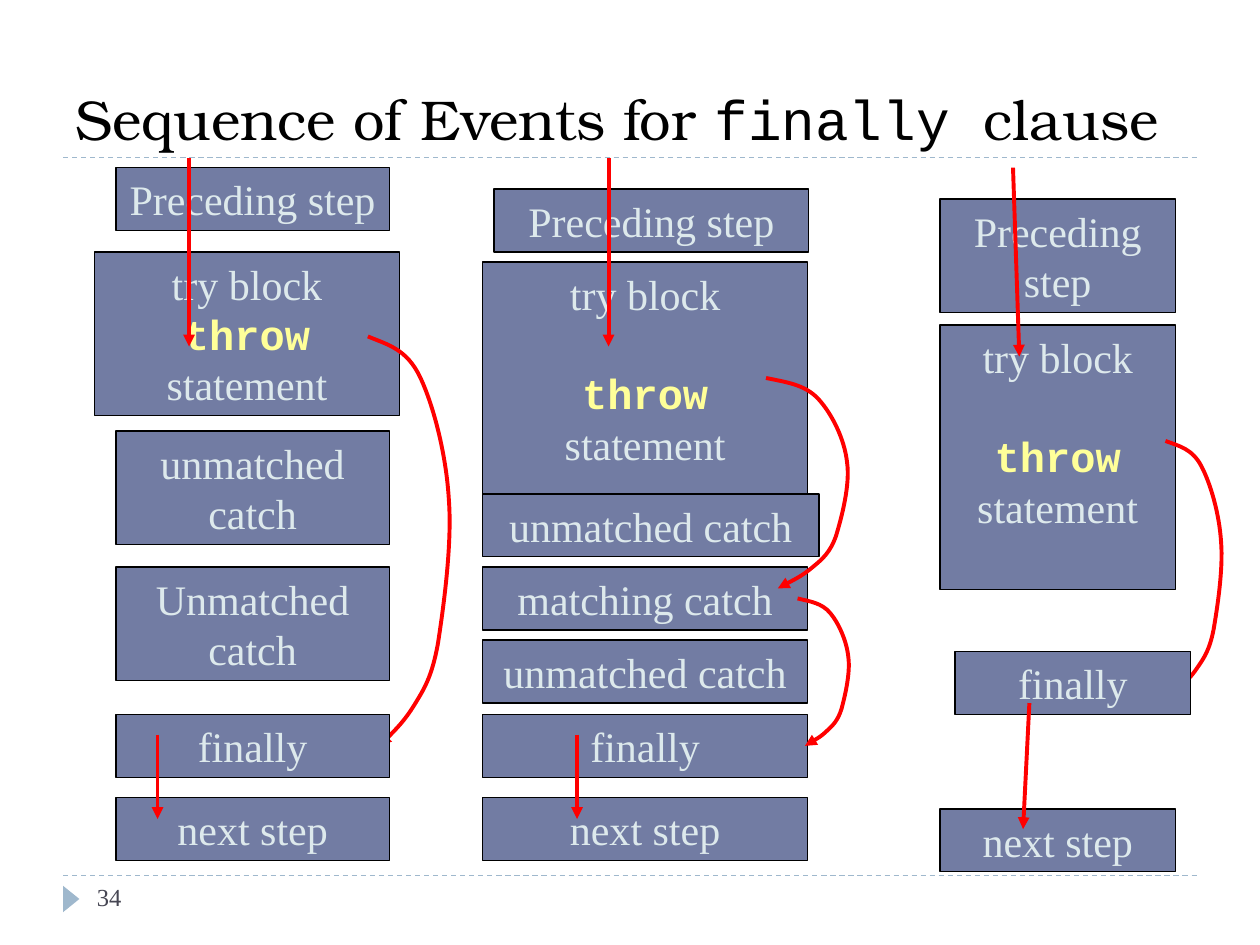
from dataclasses import dataclass

from lxml import etree
from pptx import Presentation
from pptx.dml.color import RGBColor
from pptx.enum.dml import MSO_LINE
from pptx.enum.shapes import MSO_CONNECTOR, MSO_SHAPE
from pptx.enum.text import MSO_ANCHOR, PP_ALIGN
from pptx.oxml.ns import qn
from pptx.util import Inches, Pt

STRAIGHT = MSO_CONNECTOR.STRAIGHT
RECTANGLE = MSO_SHAPE.RECTANGLE
TRIANGLE = MSO_SHAPE.ISOSCELES_TRIANGLE
DASH = MSO_LINE.DASH
TOP, BOTTOM = MSO_ANCHOR.TOP, MSO_ANCHOR.BOTTOM
LEFT, CENTER = PP_ALIGN.LEFT, PP_ALIGN.CENTER

SWEEP = [
    (0, 0), (0.23, 0.02), (0.46, 0.03), (0.62, 0.1),
    (0.78, 0.17), (0.93, 0.29), (0.96, 0.4),
    (1, 0.51), (0.89, 0.67), (0.83, 0.75),
    (0.76, 0.83), (0.67, 0.86), (0.55, 0.9),
    (0.43, 0.94), (0.28, 0.97), (0.14, 1),
]


@dataclass(frozen=True)
class Theme:
    box: str = "727CA3"
    border: str = "000000"
    flow: str = "FF0000"
    rule: str = "9FB8CD"
    thin: float = 0.75
    thick: float = 2.25
    title: tuple = ("TeX Gyre Bonum", 32, False, "000000")
    title_code: tuple = ("Courier New", 32, False, "000000")
    label: tuple = ("Times New Roman", 24, False, "DDE9EC")
    keyword: tuple = ("Courier New", 24, True, "FFFF99")
    number: tuple = ("Times New Roman", 14, False, "464653")


class SlideBuilder:
    def __init__(self, slide, theme):
        self.shapes = slide.shapes
        self.theme = theme

    def paint_line(self, line, color, width):
        line.color.rgb = RGBColor.from_string(color)
        line.width = Pt(width)

    def add_arrowhead(self, shape):
        line = shape.line._get_or_add_ln()
        etree.SubElement(line, qn("a:tailEnd"), type="triangle")

    def fill_text(self, shape, paragraphs, align=LEFT, anchor=TOP, gap=0):
        frame = shape.text_frame
        frame_format = {
            "word_wrap": True, "vertical_anchor": anchor,
            "margin_left": Inches(0.1), "margin_right": Inches(0.1),
            "margin_top": Inches(0.05), "margin_bottom": Inches(0.05),
        }
        for name, value in frame_format.items():
            setattr(frame, name, value)
        for index, spans in enumerate(paragraphs):
            paragraph = frame.add_paragraph() if index else frame.paragraphs[0]
            paragraph.alignment = align
            if index:
                paragraph.space_before = Pt(gap)
            for words, (family, size, bold, color) in spans:
                run = paragraph.add_run()
                run.text = words
                run_format = {"name": family, "size": Pt(size), "bold": bold}
                for name, value in run_format.items():
                    setattr(run.font, name, value)
                run.font.color.rgb = RGBColor.from_string(color)

    def text(self, bounds, spans, anchor=TOP):
        area = self.shapes.add_textbox(*map(Inches, bounds))
        self.fill_text(area, [spans], anchor=anchor)

    def box(self, bounds, paragraphs, gap=0):
        step = self.shapes.add_shape(RECTANGLE, *map(Inches, bounds))
        step.shadow.inherit = False
        step.fill.solid()
        step.fill.fore_color.rgb = RGBColor.from_string(self.theme.box)
        self.paint_line(step.line, self.theme.border, self.theme.thin)
        self.fill_text(step, paragraphs, CENTER, gap=gap)

    def step(self, left, top, width, words, height=0.5):
        self.box((left, top, width, height), [[(words, self.theme.label)]])

    def try_block(self, left, top, width, height, gap=0):
        label, keyword = self.theme.label, self.theme.keyword
        lines = [[("try block", label)], [("throw ", keyword), ("statement", label)]]
        self.box((left, top, width, height), lines, gap)

    def connector(self, start, end, color, width):
        link = self.shapes.add_connector(STRAIGHT, *map(Inches, (*start, *end)))
        etree.SubElement(link._element.spPr, qn("a:effectLst"))
        self.paint_line(link.line, color, width)
        return link

    def rule(self, top):
        divider = self.connector((0.5, top), (9.5, top), self.theme.rule, self.theme.thin)
        divider.line.dash_style = DASH

    def arrow(self, start, end):
        self.add_arrowhead(self.connector(start, end, self.theme.flow, self.theme.thick))

    def curve(self, left, top, width, height):
        points = [(Inches(left + x * width), Inches(top + y * height)) for x, y in SWEEP]
        builder = self.shapes.build_freeform(*points[0])
        builder.add_line_segments(points[1:], close=False)
        jump = builder.convert_to_shape()
        jump.shadow.inherit = False
        jump.fill.background()
        self.paint_line(jump.line, self.theme.flow, self.theme.thick)
        self.add_arrowhead(jump)
        outline = next(jump._element.iter(qn("a:path")))
        segments = outline.findall(qn("a:lnTo"))
        for first in range(0, len(segments), 3):
            bezier = etree.SubElement(outline, qn("a:cubicBezTo"))
            for segment in segments[first:first + 3]:
                bezier.append(segment[0])
                outline.remove(segment)

    def marker(self, bounds):
        pointer = self.shapes.add_shape(TRIANGLE, *map(Inches, bounds))
        pointer.shadow.inherit = False
        pointer.rotation = 90
        pointer.fill.solid()
        pointer.fill.fore_color.rgb = RGBColor.from_string(self.theme.rule)
        pointer.line.fill.background()


def draw_frame(page):
    theme = page.theme
    for top in (6.95, 1.25):
        page.rule(top)
    page.marker((0.46, 7.07, 0.21, 0.13))
    page.text((0.67, 6.95, 2.17, 0.4), [("34", theme.number)])
    page.text((0.5, 0.25, 9, 1), [
        ("Sequence of Events for ", theme.title),
        ("finally ", theme.title_code),
        ("clause", theme.title),
    ], BOTTOM)


def draw_matched(page):
    left, width = 3.83, 2.58
    page.step(3.92, 1.5, 2.5, "Preceding step")
    page.try_block(left, 2.08, width, 2.1, gap=28)
    page.step(left, 3.92, 2.67, "unmatched catch")
    page.step(left, 4.5, width, "matching catch")
    page.step(left, 5.08, width, "unmatched catch")
    page.step(left, 6.33, width, "next step")
    page.arrow((4.83, 1.25), (4.83, 2.75))
    page.curve(6.08, 3, 0.67, 1.67)
    page.step(left, 5.67, width, "finally")
    page.curve(6.33, 4.75, 0.42, 1.17)
    page.arrow((4.58, 5.83), (4.58, 6.5))


def draw_unmatched(page):
    left, width = 0.92, 2.17
    page.step(left, 1.33, width, "Preceding step")
    page.try_block(0.75, 2, 2.42, 1.3)
    page.step(left, 3.42, width, "unmatched catch", 0.9)
    page.step(left, 4.5, width, "Unmatched catch", 0.9)
    page.step(left, 6.33, width, "next step")
    page.arrow((1.5, 1.25), (1.5, 2.75))
    page.curve(2.92, 2.67, 0.67, 3.25)
    page.step(left, 5.67, width, "finally")
    page.arrow((1.25, 5.83), (1.25, 6.5))


def draw_without_catch(page):
    left, width = 7.46, 1.87
    page.step(left, 1.58, width, "Preceding step", 0.9)
    page.try_block(left, 2.58, width, 2.1, gap=28)
    page.step(left, 6.42, width, "next step")
    page.arrow((8.04, 1.33), (8.09, 2.83))
    page.curve(9.25, 3.5, 0.46, 2)
    page.step(7.58, 5.17, width, "finally")
    page.arrow((8.17, 5.58), (8.12, 6.58))


def main():
    deck = Presentation()
    deck.slide_width, deck.slide_height = Inches(10), Inches(7.5)
    page = SlideBuilder(deck.slides.add_slide(deck.slide_layouts[6]), Theme())
    for draw in (draw_frame, draw_matched, draw_unmatched, draw_without_catch):
        draw(page)
    deck.save("out.pptx")


if __name__ == "__main__":
    main()
